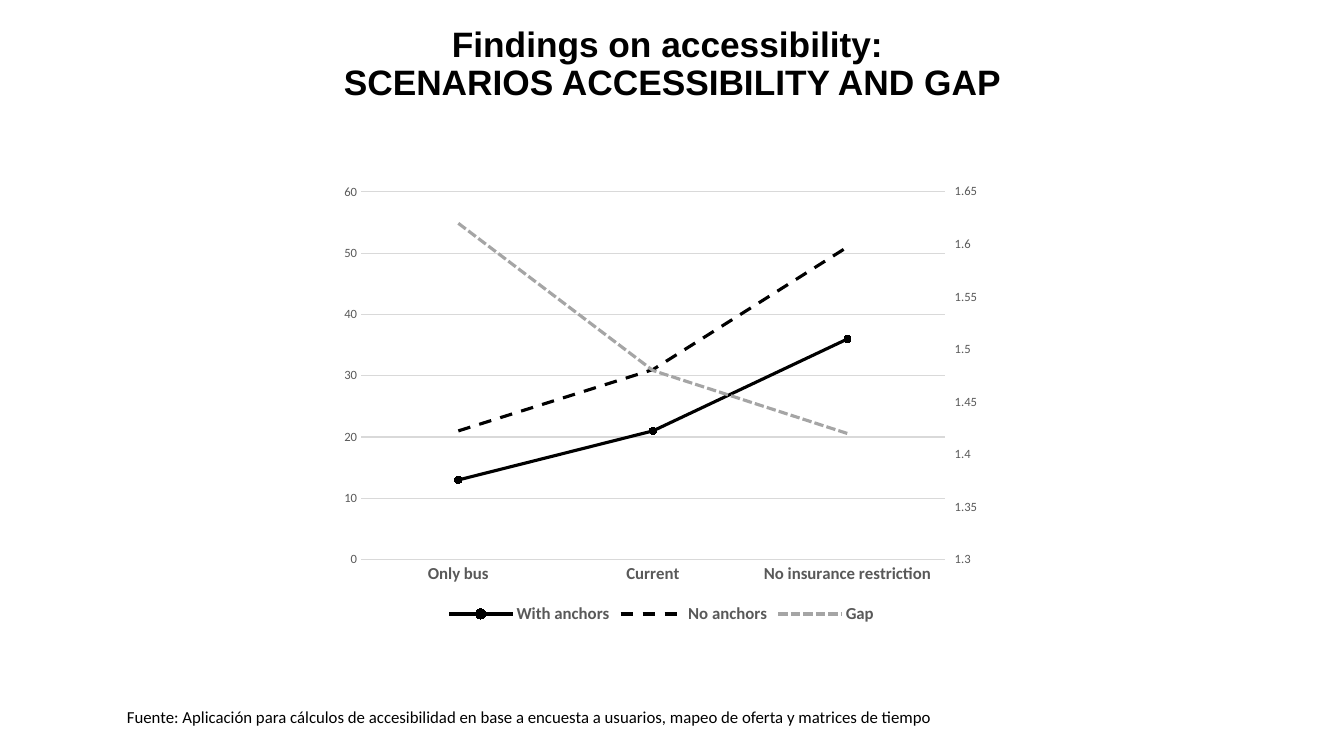
from copy import deepcopy

from pptx import Presentation
from pptx.chart.data import CategoryChartData
from pptx.dml.color import RGBColor
from pptx.enum.chart import XL_CHART_TYPE, XL_LEGEND_POSITION, XL_MARKER_STYLE, XL_TICK_MARK
from pptx.enum.dml import MSO_LINE
from pptx.enum.text import MSO_ANCHOR, MSO_AUTO_SIZE, PP_ALIGN
from pptx.oxml import parse_xml
from pptx.oxml.ns import nsdecls
from pptx.util import Pt

SOLID, DASH, SHORT_DASH = MSO_LINE.SOLID, MSO_LINE.DASH, MSO_LINE.SQUARE_DOT
CIRCLE, NO_MARKER = XL_MARKER_STYLE.CIRCLE, XL_MARKER_STYLE.NONE
NO_TICK, TICK_OUT = XL_TICK_MARK.NONE, XL_TICK_MARK.OUTSIDE
TITLE_ONLY = 5

TITLE = "Findings on accessibility: \vSCENARIOS ACCESSIBILITY AND GAP"
SOURCE_NOTE = ("Fuente: Aplicación para cálculos de accesibilidad en base a encuesta "
               "a usuarios, mapeo de oferta y matrices de tiempo")
SCENARIOS = ["Only bus", "Current", "No insurance restriction"]
SERIES = [  # name, values, colour, dash, marker
    ("With anchors", (13, 21, 36), "000000", SOLID, CIRCLE),
    ("No anchors", (21, 31, 51), "000000", DASH, NO_MARKER),
    ("Gap", (1.62, 1.48, 1.42), "A5A5A5", SHORT_DASH, NO_MARKER),
]
SCORE_SCALE = dict(minimum_scale=0, maximum_scale=60, major_unit=10,
                   major_tick_mark=NO_TICK, has_major_gridlines=True)
GAP_SCALE = dict(minimum_scale=1.3, maximum_scale=1.65, major_unit=0.05,
                 major_tick_mark=TICK_OUT, has_major_gridlines=False)

# Boxes in px: left, top, width, height
SLIDE_SIZE = (1344, 756)
TITLE_BOX = (93, 31, 1159, 68)
CHART_BOX = (332, 176, 659, 452)
PLOT_BOX = (361, 192, 584, 368)
NOTE_BOX = (117, 702, 963, 30)

TITLE_FONT = dict(name="Arial", size=Pt(25.2), bold=True)
NOTE_FONT = dict(name="Calibri", size=Pt(12))
CHART_FONT = dict(name="Calibri", size=Pt(10))
LABEL_FONT = dict(name="Calibri", size=Pt(12), bold=True)
NUMBER_FONT = dict(name="Calibri", size=Pt(9), bold=False)
BLACK, GREY, LIGHT_GREY = "000000", "595959", "D9D9D9"


def emu(*pixels):
    return [round(value * 914400 / 100.8) for value in pixels]


def color(hex_string):
    return RGBColor.from_string(hex_string)


def apply(target, values):
    for name, value in values.items():
        setattr(target, name, value)


def format_font(font, values, hex_string):
    apply(font, values)
    font.color.rgb = color(hex_string)


def format_line(line, hex_string, width):
    line.color.rgb = color(hex_string)
    line.width = Pt(width)


def add_title(slide):
    title = slide.shapes.title
    apply(title, dict(zip(("left", "top", "width", "height"), emu(*TITLE_BOX))))
    frame = title.text_frame
    apply(frame, dict(text=TITLE, vertical_anchor=MSO_ANCHOR.MIDDLE,
                      auto_size=MSO_AUTO_SIZE.NONE, word_wrap=True))
    paragraph = frame.paragraphs[0]
    apply(paragraph, dict(alignment=PP_ALIGN.CENTER, line_spacing=0.9))
    for run in paragraph.runs:
        format_font(run.font, TITLE_FONT, BLACK)


def add_note(slide):
    frame = slide.shapes.add_textbox(*emu(*NOTE_BOX)).text_frame
    apply(frame, dict(text=SOURCE_NOTE, word_wrap=True))
    format_font(frame.paragraphs[0].runs[0].font, NOTE_FONT, BLACK)


def set_value(element, tag, value):
    element.xpath(f"c:{tag}")[0].set("val", value)


def move_gap_to_right_axis(chart):
    """Put the last series in a second line plot with its own pair of axes."""
    apply(chart.value_axis, GAP_SCALE)
    score_plot = chart.plots[0]._element
    category_axis = chart.category_axis._element
    value_axis = chart.value_axis._element
    gap_plot, right_axis, hidden_axis = map(deepcopy, (score_plot, value_axis, category_axis))
    for series in gap_plot.xpath("c:ser")[:-1]:
        gap_plot.remove(series)
    score_plot.remove(score_plot.xpath("c:ser")[-1])

    hidden_id, right_id = "50010", "50020"
    for reference, axis_id in zip(gap_plot.xpath("c:axId"), (hidden_id, right_id)):
        reference.set("val", axis_id)
    for axis, values in (
        (right_axis, dict(axId=right_id, crossAx=hidden_id, axPos="r", crosses="max")),
        (hidden_axis, dict(axId=hidden_id, crossAx=right_id, delete="1")),
    ):
        for tag, value in values.items():
            set_value(axis, tag, value)
    score_plot.addnext(gap_plot)
    value_axis.addnext(right_axis)
    right_axis.addnext(hidden_axis)


def place_plot(chart):
    left, top, width, height = CHART_BOX
    fractions = dict(x=(PLOT_BOX[0] - left) / width, y=(PLOT_BOX[1] - top) / height,
                     w=PLOT_BOX[2] / width, h=PLOT_BOX[3] / height)
    items = "".join(f'<c:{tag} val="{value:.3f}"/>' for tag, value in fractions.items())
    layout = parse_xml(
        f'<c:layout {nsdecls("c")}><c:manualLayout><c:layoutTarget val="inner"/>'
        f'<c:xMode val="edge"/><c:yMode val="edge"/>{items}</c:manualLayout></c:layout>')
    plot_area = chart.plots[0]._element.getparent()
    for automatic in plot_area.xpath("c:layout"):
        plot_area.remove(automatic)
    plot_area.insert(0, layout)


def add_chart(slide):
    data = CategoryChartData()
    data.categories = SCENARIOS
    for name, values, *_ in SERIES:
        data.add_series(name, values)
    chart = slide.shapes.add_chart(
        XL_CHART_TYPE.LINE_MARKERS, *emu(*CHART_BOX), data).chart
    apply(chart, dict(has_title=False, has_legend=True))
    format_font(chart.font, CHART_FONT, BLACK)
    apply(chart.legend, dict(position=XL_LEGEND_POSITION.BOTTOM, include_in_layout=False))
    format_font(chart.legend.font, LABEL_FONT, GREY)

    plot = chart.plots[0]
    plot.vary_by_categories = False
    for series, (_, _, hex_string, dash, marker) in zip(plot.series, SERIES):
        series.smooth = False
        format_line(series.format.line, hex_string, 2.25)
        series.format.line.dash_style = dash
        series.marker.style = marker
        if marker == CIRCLE:
            series.marker.size = 5
            series.marker.format.fill.solid()
            series.marker.format.fill.fore_color.rgb = color(hex_string)
            format_line(series.marker.format.line, hex_string, 0.75)

    category_axis, value_axis = chart.category_axis, chart.value_axis
    category_axis.major_tick_mark = NO_TICK
    format_line(category_axis.format.line, LIGHT_GREY, 0.75)
    format_font(category_axis.tick_labels.font, LABEL_FONT, GREY)
    value_axis.format.line.fill.background()
    format_font(value_axis.tick_labels.font, NUMBER_FONT, GREY)

    move_gap_to_right_axis(chart)
    apply(value_axis, SCORE_SCALE)
    format_line(value_axis.major_gridlines.format.line, LIGHT_GREY, 0.75)
    place_plot(chart)


def main():
    presentation = Presentation()
    presentation.slide_width, presentation.slide_height = emu(*SLIDE_SIZE)
    slide = presentation.slides.add_slide(presentation.slide_layouts[TITLE_ONLY])
    add_note(slide)
    add_title(slide)
    add_chart(slide)
    presentation.save("out.pptx")


if __name__ == "__main__":
    main()
